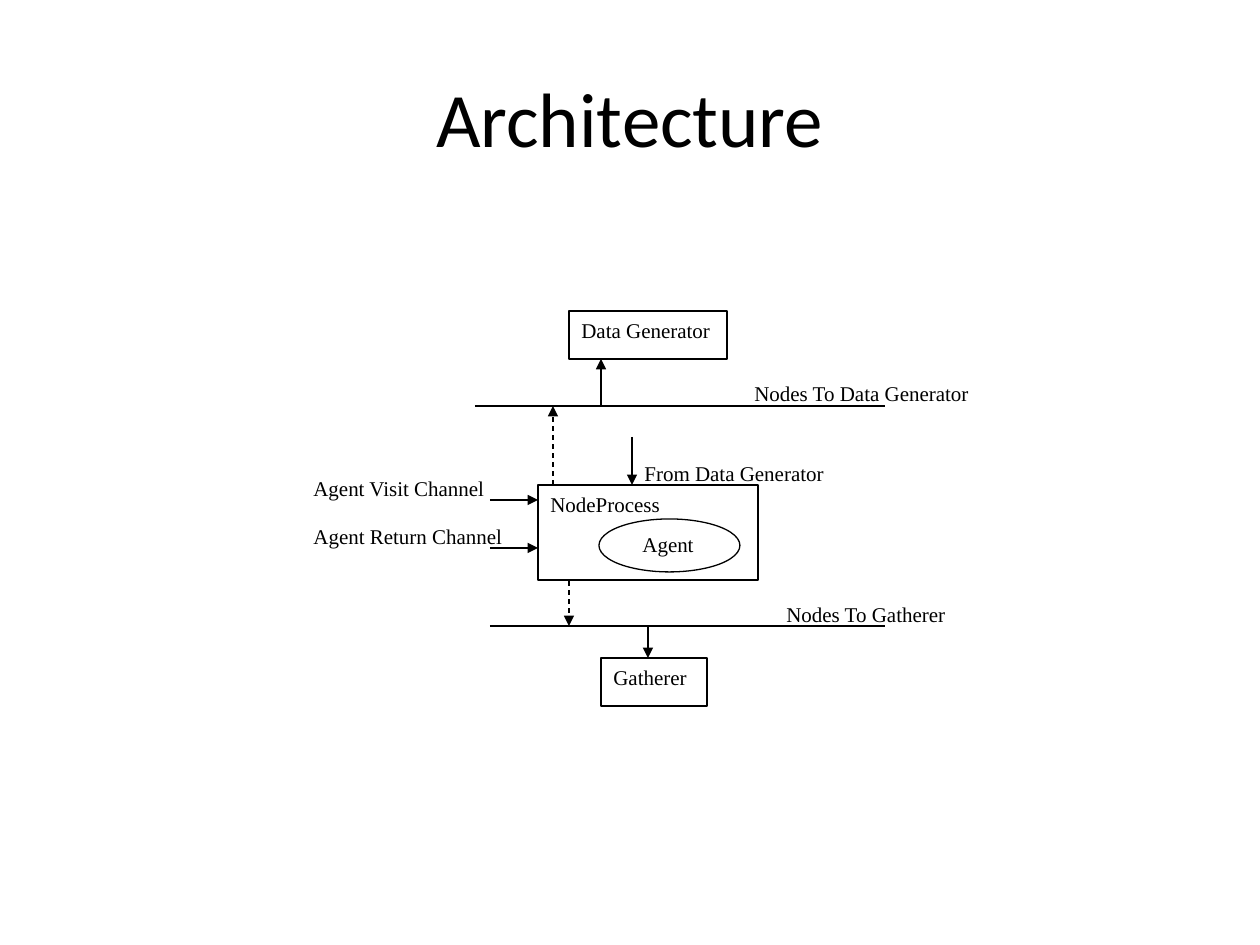
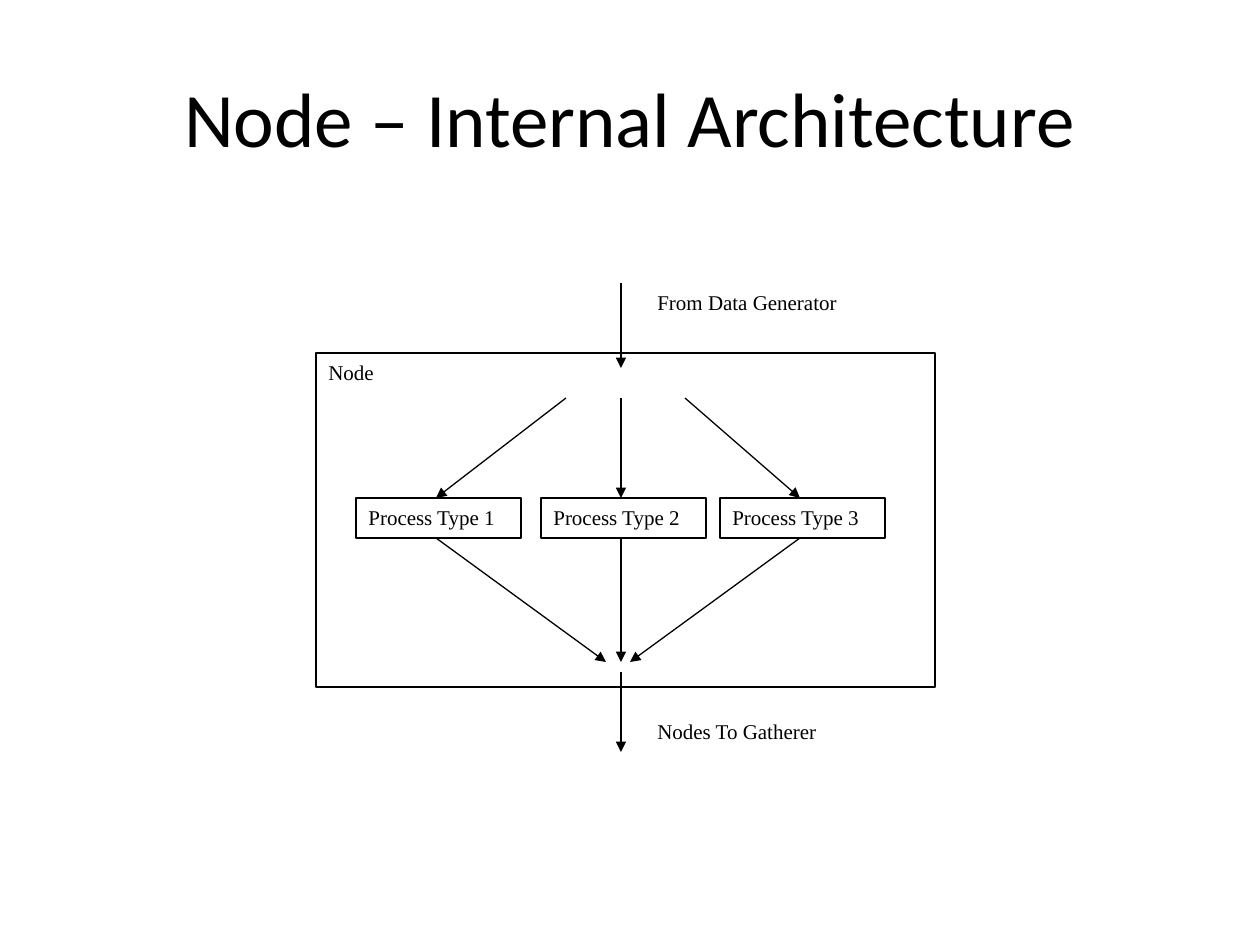
from dataclasses import dataclass

from lxml.etree import SubElement
from pptx import Presentation
from pptx.dml.color import RGBColor
from pptx.enum.dml import MSO_LINE
from pptx.enum.shapes import MSO_CONNECTOR, MSO_SHAPE
from pptx.enum.text import MSO_ANCHOR, PP_ALIGN
from pptx.oxml.ns import qn
from pptx.slide import Slide
from pptx.util import Emu, Pt

PIXELS_PER_INCH = 126
BLACK = "000000"
WHITE = "FFFFFF"
TITLE_FONT = "Calibri"
DIAGRAM_FONT = "Times New Roman"
LINE_WIDTH = Pt(0.75)


@dataclass
class Box:
    text: str
    left: int
    top: int
    width: int
    height: int
    outlined: bool = True
    shape: MSO_SHAPE = MSO_SHAPE.RECTANGLE


@dataclass
class Line:
    x1: int
    y1: int
    x2: int
    y2: int
    arrow: bool = True
    dashed: bool = False


def px(pixels: int) -> Emu:
    return Emu(round(pixels * 914400 / PIXELS_PER_INCH))


def color(hex_value: str) -> RGBColor:
    return RGBColor.from_string(hex_value)


def label(text: str, left: int, top: int, width: int, height: int) -> Box:
    return Box(text, left, top, width, height, outlined=False)


def format_text(frame, font: str, size: int, align: PP_ALIGN, anchor: MSO_ANCHOR) -> None:
    frame.word_wrap = True
    frame.vertical_anchor = anchor
    for paragraph in frame.paragraphs:
        paragraph.alignment = align
        for run in paragraph.runs:
            run.font.name = font
            run.font.size = Pt(size)
            run.font.color.rgb = color(BLACK)


def draw_box(slide: Slide, box: Box) -> None:
    shape = slide.shapes.add_shape(
        box.shape, px(box.left), px(box.top), px(box.width), px(box.height))
    shape.shadow.inherit = False
    shape.fill.solid()
    shape.fill.fore_color.rgb = color(WHITE)
    if box.outlined:
        shape.line.color.rgb = color(BLACK)
        shape.line.width = LINE_WIDTH
    else:
        shape.line.fill.background()
    if box.text:
        shape.text_frame.text = box.text
        format_text(shape.text_frame, DIAGRAM_FONT, 12, PP_ALIGN.LEFT, MSO_ANCHOR.TOP)


def draw_line(slide: Slide, line: Line) -> None:
    connector = slide.shapes.add_connector(
        MSO_CONNECTOR.STRAIGHT, px(line.x1), px(line.y1), px(line.x2), px(line.y2))
    connector.line.color.rgb = color(BLACK)
    connector.line.width = LINE_WIDTH
    if line.dashed:
        connector.line.dash_style = MSO_LINE.DASH
    properties = connector._element.spPr
    if line.arrow:
        SubElement(properties.find(qn("a:ln")), qn("a:tailEnd"), type="triangle")
    SubElement(properties, qn("a:effectLst"))


def add_diagram_slide(deck, title: str, parts: list[Box | Line]) -> None:
    slide = deck.slides.add_slide(deck.slide_layouts[5])
    heading = slide.shapes.title
    heading.left, heading.top = px(63), px(38)
    heading.width, heading.height = px(1134), px(157)
    heading.text_frame.text = title
    format_text(heading.text_frame, TITLE_FONT, 44, PP_ALIGN.CENTER, MSO_ANCHOR.MIDDLE)
    for part in parts:
        if isinstance(part, Box):
            draw_box(slide, part)
        else:
            draw_line(slide, part)


GENERATOR_CHANNEL_Y = 406
GATHERER_CHANNEL_Y = 626
CHANNEL_END = 885
NODE_LEFT, NODE_TOP = 538, 485

architecture = [
    label("From Data Generator", 632, 454, 220, 48),
    label("Agent Return Channel", 301, 517, 220, 48),
    label("Agent Visit Channel", 301, 469, 204, 48),
    label("Nodes To Gatherer", 774, 595, 189, 48),
    label("Nodes To Data Generator", 742, 374, 252, 47),
    Box("Data Generator", 569, 311, 158, 48),
    Box("Gatherer", 601, 658, 106, 48),
    Line(490, 548, NODE_LEFT, 548),
    Line(490, 500, NODE_LEFT, 500),
    Line(632, 437, 632, NODE_TOP),
    Line(648, GATHERER_CHANNEL_Y, 648, 658),
    Line(601, GENERATOR_CHANNEL_Y, 601, 359),
    Line(490, GATHERER_CHANNEL_Y, CHANNEL_END, GATHERER_CHANNEL_Y, arrow=False),
    Line(475, GENERATOR_CHANNEL_Y, CHANNEL_END, GENERATOR_CHANNEL_Y, arrow=False),
    Line(569, 563, 569, GATHERER_CHANNEL_Y, dashed=True),
    Line(553, NODE_TOP, 553, GENERATOR_CHANNEL_Y, dashed=True),
    Box("NodeProcess", NODE_LEFT, NODE_TOP, 220, 95),
    Box("", 599, 519, 141, 53, shape=MSO_SHAPE.OVAL),
    label("Agent", 630, 525, 79, 39),
]

FLOW_X = 621
PROCESS_TOP, PROCESS_WIDTH, PROCESS_HEIGHT = 498, 165, 40
PROCESS_BOTTOM = PROCESS_TOP + PROCESS_HEIGHT
PROCESS_ROUTES = [(356, 566, 436, 606), (541, FLOW_X, FLOW_X, FLOW_X), (720, 685, 800, 630)]

node_internals = [Box("Node", 316, 353, 619, 334)]
for number, (left, split_x, port_x, merge_x) in enumerate(PROCESS_ROUTES, start=1):
    node_internals += [
        Box(f"Process Type {number}", left, PROCESS_TOP, PROCESS_WIDTH, PROCESS_HEIGHT),
        Line(split_x, 398, port_x, PROCESS_TOP),
        Line(port_x, PROCESS_BOTTOM, merge_x, 662),
    ]
node_internals += [
    Line(FLOW_X, 283, FLOW_X, 368),
    Line(FLOW_X, 672, FLOW_X, 752),
    label("Nodes To Gatherer", 645, 712, 189, 40),
    label("From Data Generator", 645, 283, 229, 50),
]

deck = Presentation()
deck.slide_width, deck.slide_height = px(1260), px(945)
add_diagram_slide(deck, "Architecture", architecture)
add_diagram_slide(deck, "Node – Internal Architecture", node_internals)
deck.save("out.pptx")
